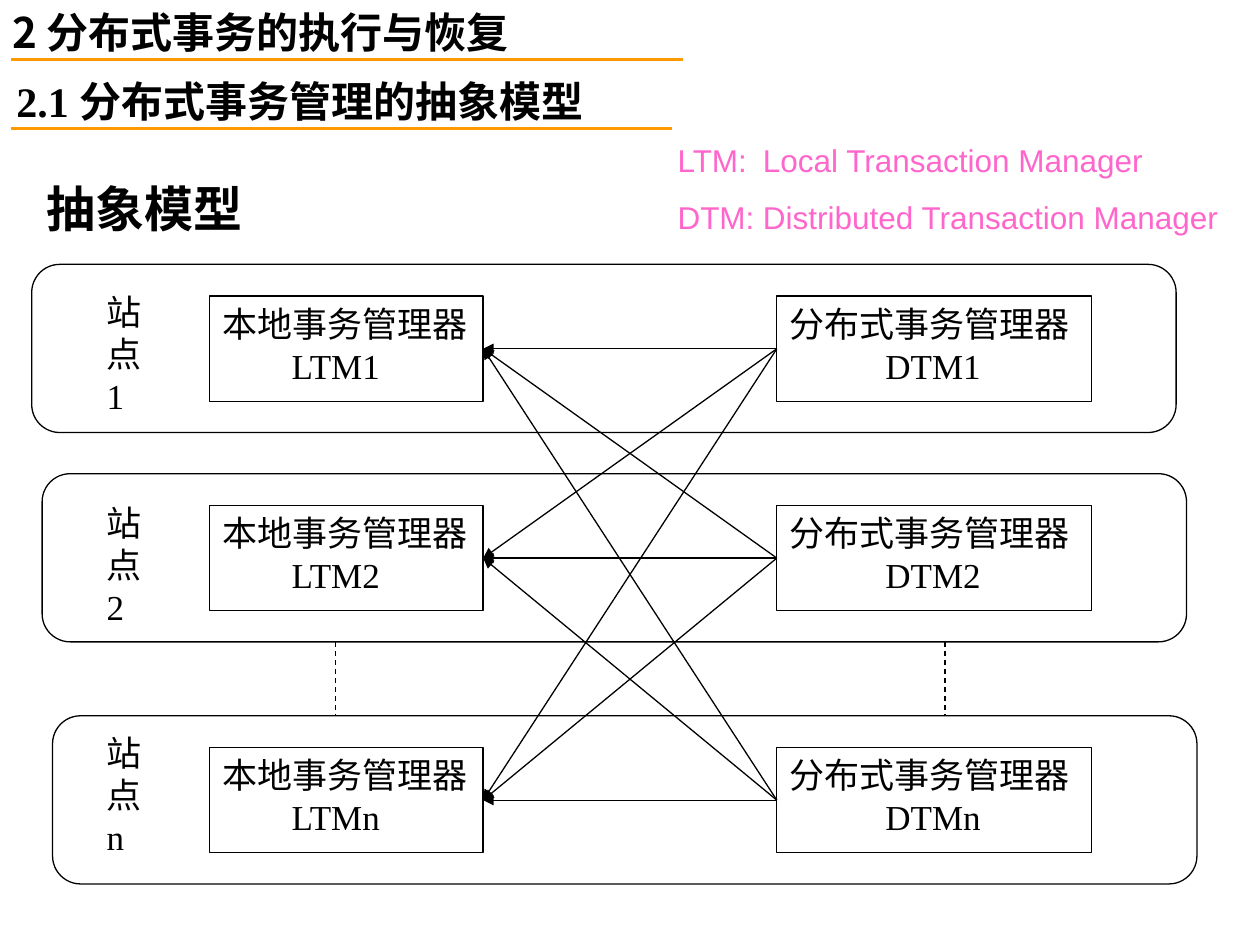
from itertools import product
from lxml.etree import SubElement
from pptx import Presentation
from pptx.dml.color import RGBColor
from pptx.enum.dml import MSO_LINE
from pptx.enum.shapes import MSO_CONNECTOR, MSO_SHAPE
from pptx.enum.text import MSO_ANCHOR, MSO_AUTO_SIZE, PP_ALIGN
from pptx.oxml.ns import qn
from pptx.util import Cm, Pt

COLORS = {"text": "000000", "accent": "FF9900", "legend": "FF66CC", "fill": "FFFFFF"}
SERIF, SANS, CJK = "Times New Roman", "Arial", "Noto Sans CJK SC"

TITLE = "抽象模型"
HEADINGS = [
    {"at": (0, 0, 14.83, 1.27), "rule": (0.23, 13.77, 1.2),
     "runs": [("2 分布式事务的执行与恢复", CJK)]},
    {"at": (0.08, 1.4, 14.83, 1.27), "rule": (0.23, 13.54, 2.59),
     "runs": [("2.1 ", SERIF), ("分布式事务管理的抽象模型", CJK)]},
]
LEGEND = ["LTM:\tLocal Transaction Manager", "DTM:\tDistributed Transaction Manager"]
SITES = [
    {"name": "1", "left": 0.64, "top": 5.33, "label_top": 5.74},
    {"name": "2", "left": 0.85, "top": 9.55, "label_top": 9.98},
    {"name": "n", "left": 1.06, "top": 14.43, "label_top": 14.63},
]
MANAGERS = [
    {"kind": "LTM", "text": "本地事务管理器", "left": 4.23, "width": 5.51, "indent": 1.4},
    {"kind": "DTM", "text": "分布式事务管理器", "left": 15.66, "width": 6.35, "indent": 1.94},
]
SITE_W, SITE_H = 23.07, 3.39
BOX_H, BOX_GAP = 2.12, 0.64
DASH_X = (6.77, 19.05)


def add_run(p, text, font=SERIF, size=20, color="text", bold=False):
    r = p.add_run()
    r.text = text
    for name, value in {"name": font, "size": Pt(size), "bold": bold}.items():
        setattr(r.font, name, value)
    r.font.color.rgb = RGBColor.from_string(COLORS[color])
    SubElement(r.font._element, qn("a:ea")).set("typeface", CJK)


def add_text(at):
    tf = s.shapes.add_textbox(*map(Cm, at)).text_frame
    tf.word_wrap = True
    tf.auto_size = MSO_AUTO_SIZE.SHAPE_TO_FIT_TEXT
    return tf


def add_line(x1, y1, x2, y2, color="text", width=0.75):
    line = s.shapes.add_connector(MSO_CONNECTOR.STRAIGHT, *map(Cm, (x1, y1, x2, y2)))
    line.line.color.rgb = RGBColor.from_string(COLORS[color])
    line.line.width = Pt(width)
    SubElement(line._element.spPr, qn("a:effectLst"))
    return line


def add_box(shape, at, fill=None):
    sp = s.shapes.add_shape(shape, *map(Cm, at))
    sp.shadow.inherit = False
    if fill:
        sp.fill.solid()
        sp.fill.fore_color.rgb = RGBColor.from_string(COLORS[fill])
    else:
        sp.fill.background()
    sp.line.color.rgb = RGBColor.from_string(COLORS["text"])
    sp.line.width = Pt(0.75)
    return sp


def add_manager(manager, site):
    at = (manager["left"], site["top"] + BOX_GAP, manager["width"], BOX_H)
    sp = add_box(MSO_SHAPE.RECTANGLE, at, "fill")
    tf = sp.text_frame
    tf.word_wrap = True
    tf.vertical_anchor = MSO_ANCHOR.TOP
    lines = [(manager["text"], 0), (manager["kind"] + site["name"], manager["indent"])]
    for i, (text, indent) in enumerate(lines):
        p = tf.add_paragraph() if i else tf.paragraphs[0]
        p.alignment = PP_ALIGN.JUSTIFY
        p._p.get_or_add_pPr().set("marL", str(Cm(indent)))
        add_run(p, text)
    return sp


prs = Presentation()
prs.slide_width, prs.slide_height = Cm(25.4), Cm(19.05)
s = prs.slides.add_slide(prs.slide_layouts[5])

title = s.shapes.title
bounds = {"left": 0.69, "top": 3.12, "width": 5.79, "height": 2.16}
for name, value in bounds.items():
    setattr(title, name, Cm(value))
title.text_frame.auto_size = MSO_AUTO_SIZE.NONE
title.text_frame.vertical_anchor = MSO_ANCHOR.MIDDLE
p = title.text_frame.paragraphs[0]
p.alignment = PP_ALIGN.LEFT
add_run(p, TITLE, size=28, bold=True)

tf = add_text((13.41, 2.72, 11.99, 2.18))
for i, text in enumerate(LEGEND):
    p = tf.add_paragraph() if i else tf.paragraphs[0]
    if i:
        p.space_before = Pt(11.2)
    tabs = SubElement(p._p.get_or_add_pPr(), qn("a:tabLst"))
    tab = SubElement(tabs, qn("a:tab"))
    tab.set("pos", str(Cm(1.72)))
    tab.set("algn", "l")
    add_run(p, text, SANS, 18, "legend")

for heading in HEADINGS:
    p = add_text(heading["at"]).paragraphs[0]
    for text, font in heading["runs"]:
        add_run(p, text, font, 24, bold=True)
    x1, x2, y = heading["rule"]
    add_line(x1, y, x2, y, "accent", 1.5)

local, distributed = [[add_manager(m, site) for site in SITES] for m in MANAGERS]

for x in DASH_X:
    dash = add_line(x, SITES[1]["top"] + SITE_H, x, SITES[2]["top"])
    dash.line.dash_style = MSO_LINE.DASH

for dtm, ltm in product(distributed, local):
    arrow = add_line(0, 0, 1, 1)
    arrow.begin_connect(dtm, 1)
    arrow.end_connect(ltm, 3)
    SubElement(arrow.line._get_or_add_ln(), qn("a:tailEnd")).set("type", "triangle")

for site in SITES:
    tf = add_text((1.9, site["label_top"], 1.48, 2.8))
    add_run(tf.paragraphs[0], "站点 " + site["name"])
    add_box(MSO_SHAPE.FLOWCHART_ALTERNATE_PROCESS,
            (site["left"], site["top"], SITE_W, SITE_H))

prs.save("out.pptx")
